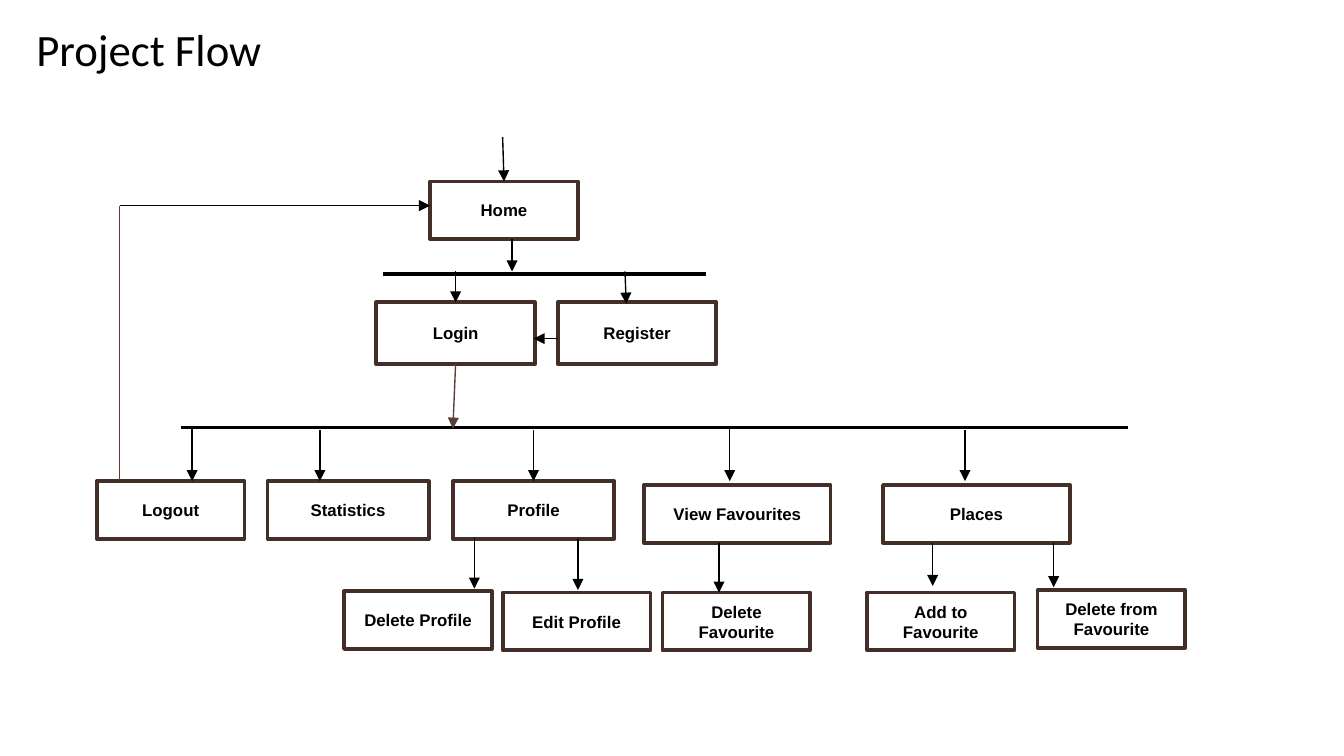
from dataclasses import dataclass

from lxml import etree
from pptx import Presentation
from pptx.dml.color import RGBColor
from pptx.enum import shapes, text
from pptx.oxml import ns
from pptx.util import Inches, Pt


@dataclass(frozen=True)
class Theme:
    ink: RGBColor = RGBColor(0x00, 0x00, 0x00)
    paper: RGBColor = RGBColor(0xFF, 0xFF, 0xFF)
    border: RGBColor = RGBColor(0x43, 0x2E, 0x28)
    brown: RGBColor = RGBColor(0x5C, 0x3E, 0x35)
    title_font: str = "Calibri"
    box_font: str = "Arial"
    title_size: float = 24
    box_size: float = 9
    border_width: float = 2
    arrow_width: float = 0.75


THEME = Theme()
TOP, BOTTOM = 0, 2  # connection sites of a rectangle
BOX_HEIGHT = 0.43
LOGIN_HEIGHT = 0.46
MENU_TOP = 3.58

# label: left, top, width, height
BOXES = {
    "Home": (3.2, 1.35, 1.1, BOX_HEIGHT),
    "Login": (2.8, 2.25, 1.18, LOGIN_HEIGHT),
    "Register": (4.15, 2.25, 1.18, LOGIN_HEIGHT),
    "Logout": (0.72, MENU_TOP, 1.1, BOX_HEIGHT),
    "Statistics": (1.99, MENU_TOP, 1.2, BOX_HEIGHT),
    "Profile": (3.37, MENU_TOP, 1.2, BOX_HEIGHT),
    "View Favourites": (4.79, 3.61, 1.39, BOX_HEIGHT),
    "Places": (6.57, 3.61, 1.39, BOX_HEIGHT),
    "Delete Profile": (2.56, 4.4, 1.1, BOX_HEIGHT),
    "Edit Profile": (3.74, 4.41, 1.1, BOX_HEIGHT),
    "Delete Favourite": (4.93, 4.41, 1.1, BOX_HEIGHT),
    "Add to Favourite": (6.45, 4.41, 1.1, BOX_HEIGHT),
    "Delete from Favourite": (7.72, 4.39, 1.1, BOX_HEIGHT),
}

# x, top, bottom of the vertical arrows that join no side's middle
DROPS = [
    (3.81, 1.78, 2.02),  # Home to the login bar
    (1.43, 3.18, MENU_TOP),  # menu bar to the menu boxes
    (2.38, 3.2, MENU_TOP),
    (5.43, 3.17, MENU_TOP),
    (7.18, 3.2, MENU_TOP),
    (3.53, 4, 4.38),  # menu boxes to their actions
    (4.3, 4.01, 4.39),
    (5.35, 4.04, 4.41),
    (6.94, 4.04, 4.36),
    (7.84, 4.04, 4.37),
]


def style_text(tf, font, size, bold=False):
    for p in tf.paragraphs:
        for r in p.runs:
            r.font.name = font
            r.font.size = Pt(size)
            r.font.bold = bold
            r.font.color.rgb = THEME.ink


def add_title(s, title):
    sp = s.shapes.title
    sp.left, sp.top = Inches(0.09), Inches(0.11)
    sp.width, sp.height = Inches(2.18), Inches(0.5)
    tf = sp.text_frame
    tf.text = title
    tf.margin_left = Inches(0.18)
    tf.vertical_anchor = text.MSO_ANCHOR.TOP
    tf.auto_size = text.MSO_AUTO_SIZE.SHAPE_TO_FIT_TEXT
    tf.paragraphs[0].alignment = text.PP_ALIGN.LEFT
    style_text(tf, THEME.title_font, THEME.title_size)


def add_box(s, label, bounds):
    sp = s.shapes.add_shape(shapes.MSO_SHAPE.RECTANGLE, *map(Inches, bounds))
    sp.shadow.inherit = False
    sp.fill.solid()
    sp.fill.fore_color.rgb = THEME.paper
    sp.line.color.rgb = THEME.border
    sp.line.width = Pt(THEME.border_width)
    tf = sp.text_frame
    tf.text = label
    tf.word_wrap = True
    tf.vertical_anchor = text.MSO_ANCHOR.MIDDLE
    tf.paragraphs[0].alignment = text.PP_ALIGN.CENTER
    style_text(tf, THEME.box_font, THEME.box_size, bold=True)
    return sp


def add_line(s, start, end, color=THEME.ink, width=THEME.arrow_width):
    line = s.shapes.add_connector(
        shapes.MSO_CONNECTOR.STRAIGHT, *map(Inches, (*start, *end)))
    line.line.color.rgb = color
    line.line.width = Pt(width)
    etree.SubElement(line._element.spPr, ns.qn("a:effectLst"))
    return line


def add_arrow(s, start, end, color=THEME.ink):
    arrow = add_line(s, start, end, color)
    ln = arrow.line._get_or_add_ln()
    etree.SubElement(ln, ns.qn("a:tailEnd"), type="triangle")
    return arrow


def main():
    prs = Presentation()
    prs.slide_width = Inches(10)
    prs.slide_height = prs.slide_width * 9 // 16
    s = prs.slides.add_slide(prs.slide_layouts[5])
    add_title(s, "Project Flow")

    boxes = {label: add_box(s, label, bounds)
             for label, bounds in BOXES.items()}

    add_line(s, (2.85, 2.04), (5.25, 2.04), width=2)
    add_line(s, (1.35, 3.18), (8.39, 3.18), width=1.75)

    for x, top, bottom in DROPS:
        add_arrow(s, (x, top), (x, bottom))
    add_arrow(s, (4.65, 2.02), (4.66, 2.26))
    add_arrow(s, (4.15, 2.52), (3.97, 2.52))

    add_arrow(s, (3.74, 1.02), (3.75, 1.35)).end_connect(boxes["Home"], TOP)
    add_arrow(s, (3.39, 2.02), (3.4, 2.26)).end_connect(boxes["Login"], TOP)
    add_arrow(s, (3.97, 3.2), (3.97, 3.58)).end_connect(boxes["Profile"], TOP)
    add_arrow(s, (3.38, 2.71), (3.37, 3.19), THEME.brown).begin_connect(
        boxes["Login"], BOTTOM)

    # Logging out leads back to Home
    add_line(s, (0.89, MENU_TOP), (0.89, 1.53), THEME.brown)
    add_arrow(s, (0.89, 1.53), (3.2, 1.53))

    prs.save("out.pptx")


if __name__ == "__main__":
    main()
